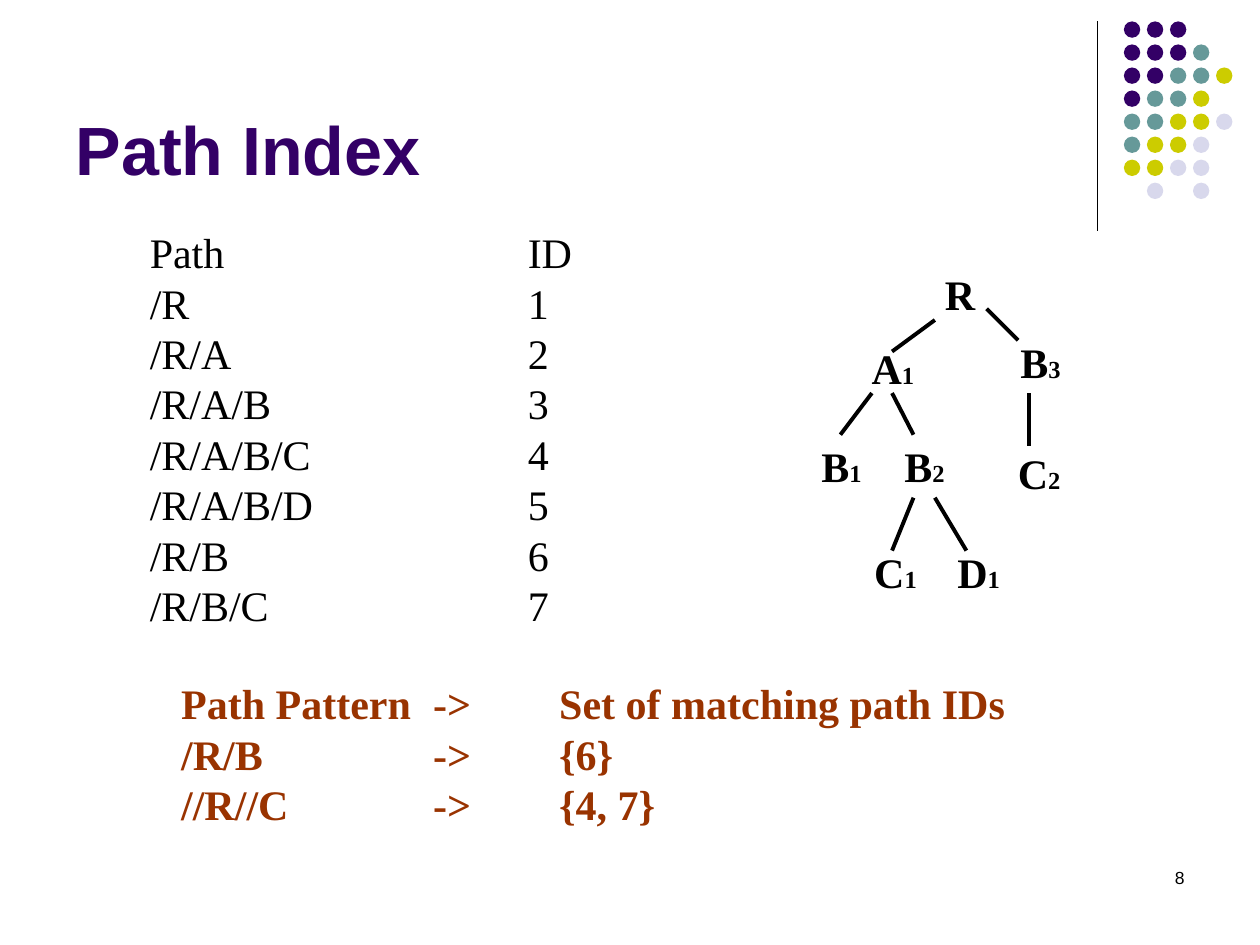
from dataclasses import dataclass

from lxml import etree
from pptx import Presentation
from pptx import util as u
from pptx.dml.color import RGBColor
from pptx.enum import shapes, text
from pptx.oxml import ns

SERIF, SANS = "Times New Roman", "Arial"
BLACK, PURPLE, BROWN = "000000", "330066", "993300"
DOT_COLORS = {"p": PURPLE, "t": "669999", "y": "CCCC00", "l": "D8D8EC"}
DOT_ROWS = ["ppp", "pppt", "pptty", "ptty", "ttyyl", "tyyl", "yyll", " l l"]
DOT_PITCH = 1.28 / 7


@dataclass
class Node:
    letter: str
    number: str
    left: float
    top: float
    width: float


@dataclass
class Edge:
    x1: float
    y1: float
    x2: float
    y2: float


@dataclass
class Listing:
    left: float
    top: float
    width: float
    height: float
    tab_stops: list[float]
    rows: list[tuple[str, ...]]
    color: str
    bold: bool


NODES = [
    Node("R", "", 7.4, 2.08, 0.44),
    Node("A", "1", 6.82, 2.67, 0.54),
    Node("B", "3", 8, 2.62, 0.52),
    Node("B", "1", 6.42, 3.45, 0.52),
    Node("B", "2", 7.08, 3.45, 0.52),
    Node("C", "2", 7.98, 3.5, 0.54),
    Node("C", "1", 6.84, 4.29, 0.54),
    Node("D", "1", 7.5, 4.29, 0.54),
]
EDGES = [
    Edge(7.42, 2.54, 7.08, 2.79),
    Edge(7.83, 2.45, 8.08, 2.7),
    Edge(6.92, 3.12, 6.67, 3.45),
    Edge(7.08, 3.12, 7.25, 3.45),
    Edge(8.17, 3.12, 8.17, 3.54),
    Edge(7.25, 3.95, 7.08, 4.37),
    Edge(7.42, 3.95, 7.67, 4.37),
]
PATHS = ["/R", "/R/A", "/R/A/B", "/R/A/B/C", "/R/A/B/D", "/R/B", "/R/B/C"]
LISTINGS = [
    Listing(1.09, 1.75, 3.55, 3.3, [3],
            [("Path", "ID")] + [(name, str(i)) for i, name in enumerate(PATHS, 1)],
            BLACK, False),
    Listing(1.34, 5.33, 6.74, 1.3, [2, 3],
            [("Path Pattern", "->", "Set of matching path IDs"),
             ("/R/B", "->", "{6}"),
             ("//R//C", "->", "{4, 7}")],
            BROWN, True),
]


def rgb(color: str) -> RGBColor:
    return RGBColor.from_string(color)


def set_font(para, name: str, size: float, color: str, bold: bool = False) -> None:
    para.font.name = name
    para.font.size = u.Pt(size)
    para.font.bold = bold
    para.font.color.rgb = rgb(color)


def set_tabs(para, stops: list[float]) -> None:
    tabs = etree.SubElement(para._p.get_or_add_pPr(), ns.qn("a:tabLst"))
    for stop in stops:
        etree.SubElement(tabs, ns.qn("a:tab"), pos=str(u.Inches(stop)), algn="l")


def add_box(page, left: float, top: float, width: float, height: float):
    box = page.shapes.add_textbox(*map(u.Inches, (left, top, width, height)))
    box.text_frame.word_wrap = False
    return box.text_frame


def add_line(page, edge: Edge, weight: float) -> None:
    ends = map(u.Inches, (edge.x1, edge.y1, edge.x2, edge.y2))
    line = page.shapes.add_connector(shapes.MSO_CONNECTOR.STRAIGHT, *ends)
    line.line.color.rgb = rgb(BLACK)
    line.line.width = u.Pt(weight)
    etree.SubElement(line._element.spPr, ns.qn("a:effectLst"))


def add_dot(page, left: float, top: float, color: str) -> None:
    dot = page.shapes.add_shape(shapes.MSO_SHAPE.OVAL,
                                *map(u.Inches, (left, top, 0.13, 0.13)))
    dot.shadow.inherit = False
    dot.fill.solid()
    dot.fill.fore_color.rgb = rgb(color)
    dot.line.fill.background()


def add_node(page, node: Node) -> None:
    para = add_box(page, node.left, node.top, node.width, 0.5).paragraphs[0]
    para.add_run().text = node.letter
    if node.number:
        span = para.add_run()
        span.text = node.number
        span.font.size = u.Pt(14)
    set_font(para, SERIF, 24, BLACK, bold=True)


def add_listing(page, listing: Listing) -> None:
    frame = add_box(page, listing.left, listing.top, listing.width, listing.height)
    frame.text = "\n".join("\t".join(row) for row in listing.rows)
    for para in frame.paragraphs:
        set_tabs(para, listing.tab_stops)
        set_font(para, SERIF, 24, listing.color, listing.bold)


def main() -> None:
    deck = Presentation()
    deck.slide_width, deck.slide_height = u.Inches(10), u.Inches(7.5)
    page = deck.slides.add_slide(deck.slide_layouts.get_by_name("Title Only"))

    # Corner decoration
    add_line(page, Edge(8.71, 0.17, 8.71, 1.83), 0.75)
    for row, marks in enumerate(DOT_ROWS):
        for column, mark in enumerate(marks):
            if mark in DOT_COLORS:
                add_dot(page, 8.92 + column * DOT_PITCH, 0.17 + row * DOT_PITCH,
                        DOT_COLORS[mark])

    # Title
    title = page.shapes.title
    title.left, title.top = u.Inches(0.5), u.Inches(0.13)
    title.width, title.height = u.Inches(8.25), u.Inches(1.42)
    title.text_frame.text = "Path Index"
    title.text_frame.auto_size = text.MSO_AUTO_SIZE.NONE
    title.text_frame.vertical_anchor = text.MSO_ANCHOR.BOTTOM
    heading = title.text_frame.paragraphs[0]
    heading.alignment = text.PP_ALIGN.LEFT
    set_font(heading, SANS, 39, PURPLE, bold=True)

    # Document tree
    for node in NODES:
        add_node(page, node)
    for edge in EDGES:
        add_line(page, edge, 2.25)

    # Path index and pattern lookups
    for listing in LISTINGS:
        add_listing(page, listing)

    # Page number
    frame = add_box(page, 7.17, 6.83, 2.33, 0.5)
    frame.word_wrap = True
    frame.text = "8"
    number = frame.paragraphs[0]
    number.alignment = text.PP_ALIGN.RIGHT
    set_font(number, SANS, 10, BLACK)

    deck.save("out.pptx")


if __name__ == "__main__":
    main()
